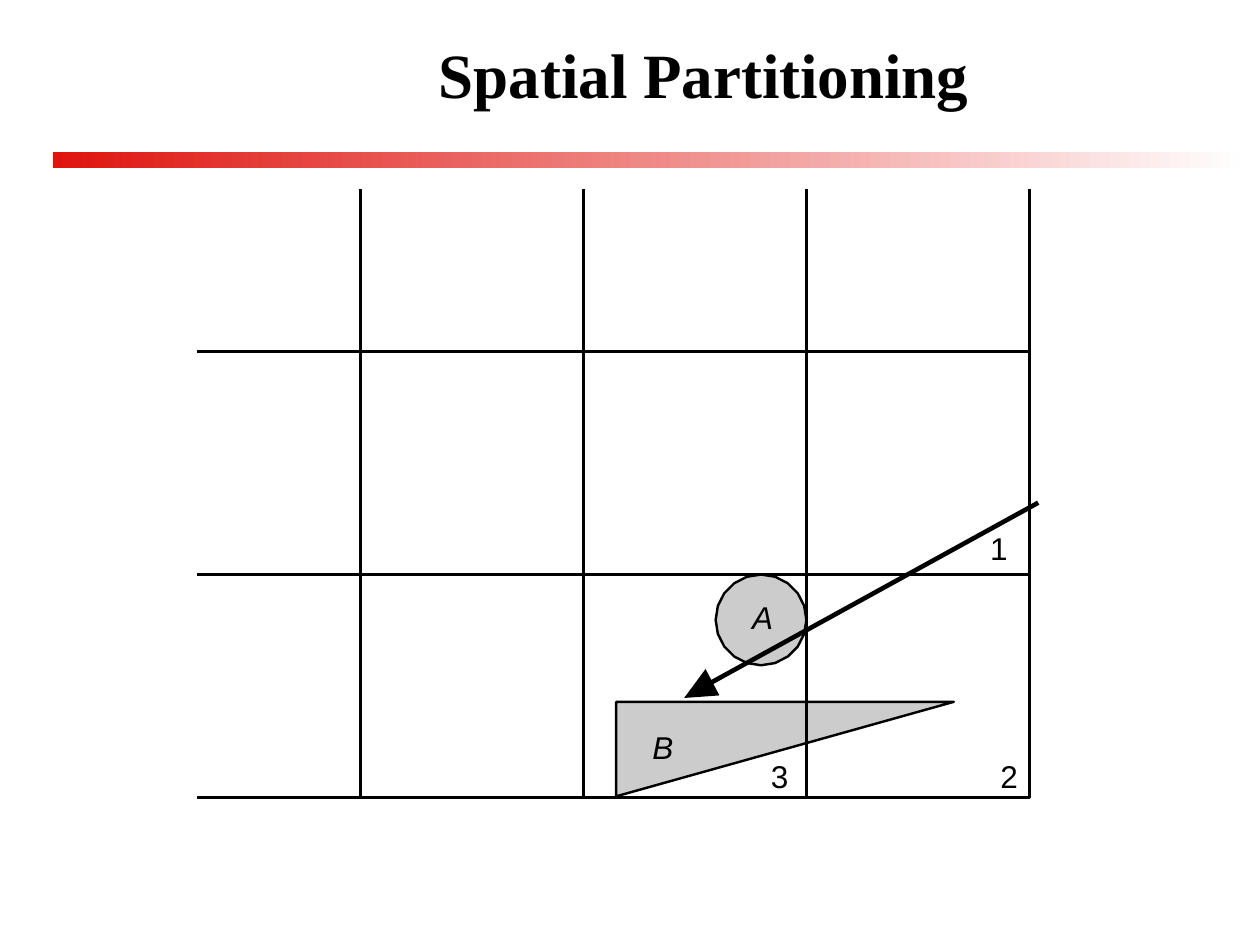
from math import cos, pi, sin

from lxml.etree import SubElement
from pptx import Presentation
from pptx.dml.color import RGBColor
from pptx.enum.shapes import MSO_CONNECTOR, MSO_SHAPE
from pptx.enum.text import MSO_ANCHOR, MSO_AUTO_SIZE, PP_ALIGN
from pptx.oxml.ns import qn
from pptx.util import Inches, Pt

COLORS = {"ink": "000000", "gray": "CCCCCC", "red": "DF140F", "white": "FFFFFF"}
THIN, THICK = 1.38, 2.63
LEFT, TOP, RIGHT, BASE = 1.56, 1.5, 8.17, 6.33
CELL = 1.77


def color(name):
    return RGBColor.from_string(COLORS[name])


def add_bar(slide, top):
    bar = slide.shapes.add_shape(
        MSO_SHAPE.RECTANGLE, Inches(0.42), Inches(top), Inches(9.5), Inches(0.08))
    bar.shadow.inherit = False
    bar.line.fill.background()
    bar.fill.gradient()
    bar.fill.gradient_angle = 0
    for stop, name in zip(bar.fill.gradient_stops, ("red", "white")):
        stop.color.rgb = color(name)


def add_line(slide, start, end, width=THIN):
    line = slide.shapes.add_connector(
        MSO_CONNECTOR.STRAIGHT, *map(Inches, start + end))
    line.line.color.rgb = color("ink")
    line.line.width = Pt(width)
    SubElement(line._element.spPr, qn("a:effectLst"))


def add_path(slide, points, fill=None, width=THIN):
    spots = [(Inches(x), Inches(y)) for x, y in points]
    pen = slide.shapes.build_freeform(*spots[0])
    pen.add_line_segments(spots[1:], close=fill is not None)
    shape = pen.convert_to_shape()
    shape.shadow.inherit = False
    if fill:
        shape.fill.solid()
        shape.fill.fore_color.rgb = color(fill)
    else:
        shape.fill.background()
    if width:
        shape.line.color.rgb = color("ink")
        shape.line.width = Pt(width)
    else:
        shape.line.fill.background()


def add_text(slide, text, box, size, font, bold=False, italic=False):
    shape = slide.shapes.add_textbox(*map(Inches, box))
    frame = shape.text_frame
    run = frame.paragraphs[0].add_run()
    run.text = text
    run.font.size = Pt(size)
    run.font.name = font
    run.font.bold = bold
    run.font.italic = italic
    run.font.color.rgb = color("ink")
    return frame


def add_title(slide, text):
    frame = add_text(slide, text, (1.17, 0.17, 8.83, 0.83), 36,
                     "Times New Roman", bold=True)
    frame.word_wrap = True
    frame.vertical_anchor = MSO_ANCHOR.MIDDLE
    frame.paragraphs[0].alignment = PP_ALIGN.CENTER


def add_label(slide, text, left, top):
    frame = add_text(slide, text, (left, top, 0.38, 0.4), 18, "Arial",
                     italic=text.isalpha())
    frame.word_wrap = False
    frame.auto_size = MSO_AUTO_SIZE.SHAPE_TO_FIT_TEXT


def ring(x, y, radius, count):
    turns = [2 * pi * i / count for i in range(count)]
    return [(x + radius * cos(t), y + radius * sin(t)) for t in turns]


def main():
    deck = Presentation()
    deck.slide_width, deck.slide_height = Inches(10), Inches(7.5)
    slide = deck.slides.add_slide(deck.slide_layouts[6])

    for top in (1.21, 1.25):
        add_bar(slide, top)
    add_title(slide, "Spatial Partitioning")

    add_path(slide, [(5.71, 5.52), (5.6, 5.31), (5.43, 5.54)], "ink", 0)
    for row in (2, 1):
        y = BASE - row * CELL
        add_line(slide, (LEFT, y), (RIGHT, y))
    add_path(slide, ring(6.04, 4.92, 0.36, 20), "gray")
    add_path(slide, [(4.89, 5.57), (7.57, 5.57), (4.89, 6.32)], "gray")
    add_line(slide, (5.64, 5.42), (8.24, 3.99), THICK)
    for col in (3, 2, 1):
        x = RIGHT - col * CELL
        add_line(slide, (x, TOP), (x, BASE))
    add_path(slide, [(RIGHT, TOP), (RIGHT, BASE), (LEFT, BASE)])

    for text, left, top in (("1", 7.76, 4.15), ("2", 7.84, 5.96),
                            ("3", 6.02, 5.96), ("A", 5.87, 4.7),
                            ("B", 5.08, 5.73)):
        add_label(slide, text, left, top)

    deck.save("out.pptx")


if __name__ == "__main__":
    main()
